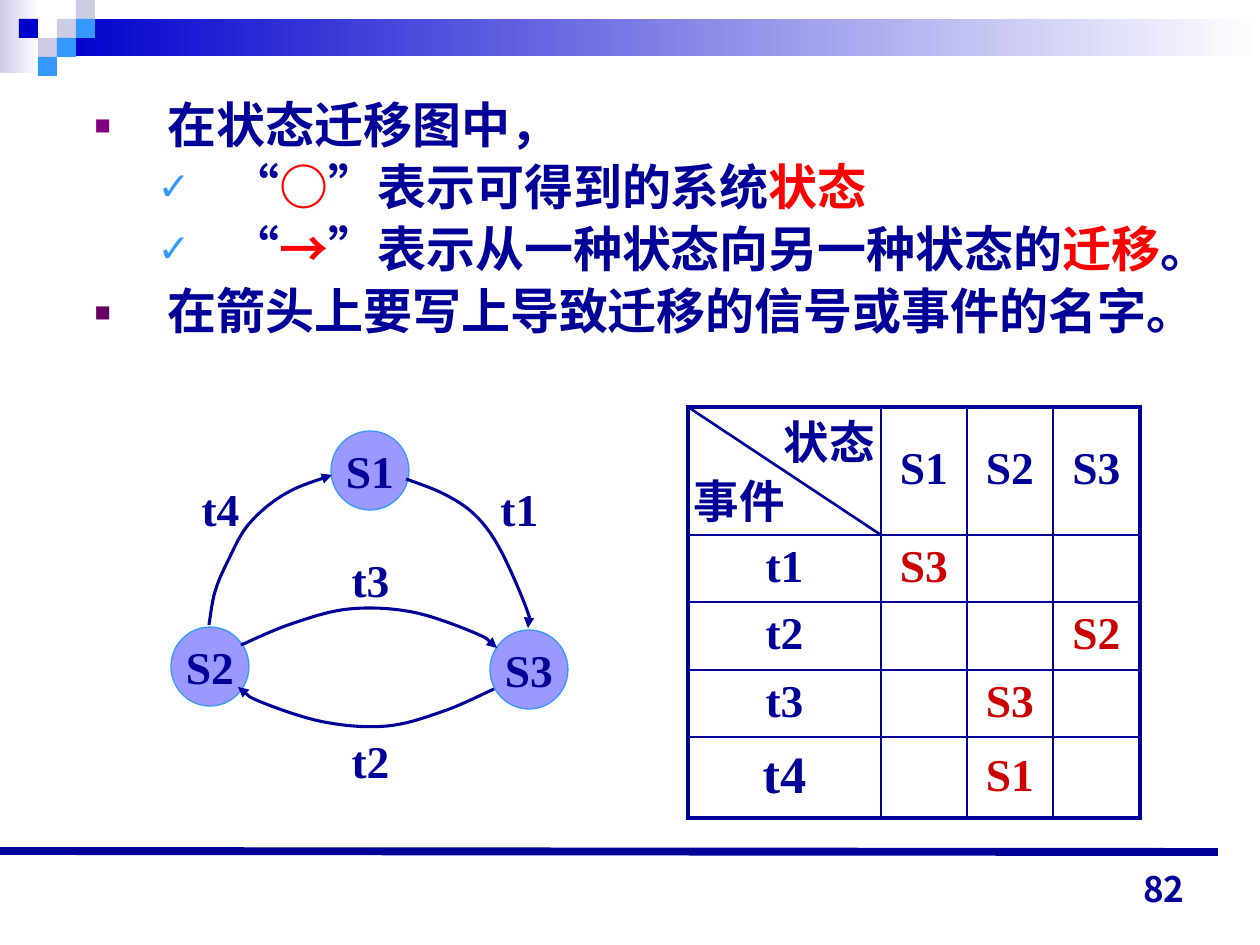
from lxml import etree
from pptx import Presentation
from pptx.dml.color import RGBColor
from pptx.enum.shapes import MSO_CONNECTOR, MSO_SHAPE
from pptx.enum.text import MSO_ANCHOR, MSO_AUTO_SIZE, PP_ALIGN
from pptx.oxml.ns import qn
from pptx.util import Pt

LEFT, CENTER, RIGHT = PP_ALIGN.LEFT, PP_ALIGN.CENTER, PP_ALIGN.RIGHT
TOP, MIDDLE, BOTTOM = MSO_ANCHOR.TOP, MSO_ANCHOR.MIDDLE, MSO_ANCHOR.BOTTOM
NO_AUTOFIT = MSO_AUTO_SIZE.NONE
RECTANGLE, OVAL = MSO_SHAPE.RECTANGLE, MSO_SHAPE.OVAL
STRAIGHT = MSO_CONNECTOR.STRAIGHT

EMU_PER_PX = 914400 / 126
SERIF, SANS, CJK = "Times New Roman", "Arial", "Noto Sans CJK JP"
COLORS = {
    "navy": "000099", "blue": "0000CC", "sky": "3399FF", "mist": "CCCCE6",
    "white": "FFFFFF", "state": "9999FF", "red": "FF0000", "result": "CC0000",
    "purple": "800080", "plum": "660066",
}
SQUARE = 19
SQUARES = [(3, 1, "mist"), (4, 0, "mist"), (4, 1, "sky"), (2, 2, "mist"),
           (1, 1, "blue"), (3, 2, "sky"), (2, 3, "sky")]
MAIN_POINT = {"level": 0, "indent": 73, "size": 55, "mark": "■"}
SUB_POINT = {"level": 1, "indent": 136, "size": 80, "mark": "✓", "color": "sky"}
POINTS = [
    (MAIN_POINT | {"color": "purple"}, 0, SANS, [("在状态迁移图中，", "navy")]),
    (SUB_POINT, 3.5, SERIF, [("“", "navy"), ("○", "red"),
                             ("”表示可得到的系统", "navy"), ("状态", "red")]),
    (SUB_POINT, 3.5, SERIF, [("“", "navy"), ("→", "red"),
                             ("”表示从一种状态向另一种状态的", "navy"),
                             ("迁移", "red"), ("。", "navy")]),
    (MAIN_POINT | {"color": "plum"}, 4, SANS,
     [("在箭头上要写上导致迁移的信号或事件的名字。", "navy")]),
]
STATES = [("S2", 171, 627), ("S1", 331, 431), ("S3", 490, 630)]
TRANSITIONS = [
    ("t4", (189, 475), [(209, 625), (215, 592), (228, 561), (249, 524), (285, 494), (332, 475)]),
    ("t1", (488, 475), [(406, 479), (444, 494), (475, 515), (500, 549), (527, 610), (528, 628)]),
    ("t3", (339, 546), [(241, 645), (291, 624), (349, 609), (412, 612), (475, 633), (497, 648)]),
    ("t2", (339, 727), [(494, 689), (444, 711), (387, 726), (324, 722), (261, 702), (238, 687)]),
]
TABLE_ROWS = [
    ["状态\n事件", "S1", "S2", "S3"],
    ["t1", "S3", "", ""],
    ["t2", "", "", "S2"],
    ["t3", "", "S3", ""],
    ["t4", "", "S1", ""],
]
COLUMN_WIDTHS = [193, 86, 86, 87]
ROW_HEIGHTS = [128, 67, 68, 67, 81]
TABLE_LEFT, TABLE_TOP = 688, 407


def px(*lengths):
    """Turn px lengths into a list of EMU."""
    return [round(length * EMU_PER_PX) for length in lengths]


def rgb(name):
    """Look up a named colour."""
    return RGBColor.from_string(COLORS[name])


def apply(target, values):
    """Set attributes from a dict of format values."""
    for name, value in values.items():
        setattr(target, name, value)


def add_run(paragraph, text, size, color="navy", font=SERIF):
    """Add a bold run with Latin and East Asian fonts."""
    run = paragraph.add_run()
    run.text = text
    apply(run.font, {"size": Pt(size), "bold": True, "name": font})
    run.font.color.rgb = rgb(color)
    etree.SubElement(run.font._element, qn("a:ea"), typeface=CJK)


def add_shape(slide, kind, box, fill, line=None):
    """Add a preset shape with a plain fill or a left-to-right gradient."""
    shape = slide.shapes.add_shape(kind, *px(*box))
    shape.shadow.inherit = False
    if isinstance(fill, tuple):
        shape.fill.gradient()
        shape.fill.gradient_angle = 0
        for stop, color in zip(shape.fill.gradient_stops, fill):
            stop.color.rgb = rgb(color)
    else:
        shape.fill.solid()
        shape.fill.fore_color.rgb = rgb(fill)
    if line:
        shape.line.color.rgb = rgb(line)
        shape.line.width = Pt(0.75)
    else:
        shape.line.fill.background()
    return shape


def add_line(slide, start, end, width):
    """Add a straight navy line."""
    line = slide.shapes.add_connector(STRAIGHT, *px(*start, *end))
    line.line.color.rgb = rgb("navy")
    line.line.width = Pt(width)
    etree.SubElement(line.element.spPr, qn("a:effectLst"))


def add_label(slide, text, box, size, font=SERIF, align=CENTER, anchor=TOP):
    """Add a one-line text box."""
    frame = slide.shapes.add_textbox(*px(*box)).text_frame
    apply(frame, {"word_wrap": False, "vertical_anchor": anchor})
    frame.paragraphs[0].alignment = align
    add_run(frame.paragraphs[0], text, size, font=font)


def add_state(slide, name, left, top):
    """Add a state circle with its name."""
    frame = add_shape(slide, OVAL, (left, top, 78, 79), "state", "sky").text_frame
    apply(frame, {"word_wrap": False, "vertical_anchor": MIDDLE, "margin_left": 0,
                  "margin_right": 0, "margin_top": 0, "margin_bottom": 0})
    frame.paragraphs[0].alignment = CENTER
    add_run(frame.paragraphs[0], name, 26)


def add_curved_arrow(slide, knots):
    """Add a smooth arrow through the knots, as Bézier segments."""
    padded = [knots[0], *knots, knots[-1]]
    points = []
    for before, start, end, after in zip(padded, padded[1:], padded[2:], padded[3:]):
        points.append(px(*(s + (e - b) / 6 for b, s, e in zip(before, start, end))))
        points.append(px(*(e - (a - s) / 6 for s, e, a in zip(start, end, after))))
        points.append(px(*end))
    builder = slide.shapes.build_freeform(*px(*knots[0]))
    builder.add_line_segments(points, close=False)
    shape = builder.convert_to_shape()
    outline = next(shape.element.iter(qn("a:path")))
    segments = outline.findall(qn("a:lnTo"))
    for index in range(0, len(segments), 3):
        curve = etree.SubElement(outline, qn("a:cubicBezTo"))
        for segment in segments[index:index + 3]:
            curve.append(segment[0])
            outline.remove(segment)
    shape.shadow.inherit = False
    shape.fill.background()
    shape.line.color.rgb = rgb("navy")
    shape.line.width = Pt(1.75)
    etree.SubElement(shape.line._get_or_add_ln(), qn("a:tailEnd"), type="triangle")


def add_points(slide):
    """Fill the body placeholder with the bulleted points."""
    body = slide.placeholders[1]
    apply(body, dict(zip(("left", "top", "width", "height"), px(82, 92, 1101, 324))))
    frame = body.text_frame
    apply(frame, {"auto_size": NO_AUTOFIT, "vertical_anchor": TOP, "word_wrap": True})
    for index, (style, space, font, runs) in enumerate(POINTS):
        paragraph = frame.add_paragraph() if index else frame.paragraphs[0]
        apply(paragraph, {"level": style["level"], "line_spacing": 0.95,
                          "space_before": Pt(space)})
        properties = paragraph._p.get_or_add_pPr()
        margin, hanging = px(style["indent"], -73)
        properties.set("marL", str(margin))
        properties.set("indent", str(hanging))
        bullet_color = etree.SubElement(properties, qn("a:buClr"))
        etree.SubElement(bullet_color, qn("a:srgbClr"), val=COLORS[style["color"]])
        etree.SubElement(properties, qn("a:buSzPct"), val=str(style["size"] * 1000))
        etree.SubElement(properties, qn("a:buChar"), char=style["mark"])
        for text, color in runs:
            add_run(paragraph, text, 28, color, font)


def set_borders(cell, row, column):
    """Draw thick borders on the table's rim and thin ones inside."""
    rims = {"a:lnL": column == 0, "a:lnR": column == len(COLUMN_WIDTHS) - 1,
            "a:lnT": row == 0, "a:lnB": row == len(ROW_HEIGHTS) - 1}
    properties = cell._tc.get_or_add_tcPr()
    for tag, on_rim in rims.items():
        border = etree.SubElement(properties, qn(tag), w=str(Pt(2.25 if on_rim else 1)))
        fill = etree.SubElement(border, qn("a:solidFill"))
        etree.SubElement(fill, qn("a:srgbClr"), val=COLORS["navy"])


def add_transition_table(slide):
    """Add the table of next states by event and state."""
    table = slide.shapes.add_table(
        len(ROW_HEIGHTS), len(COLUMN_WIDTHS),
        *px(TABLE_LEFT, TABLE_TOP, sum(COLUMN_WIDTHS), sum(ROW_HEIGHTS))).table
    apply(table, {"first_row": False, "horz_banding": False})
    for column, width in zip(table.columns, px(*COLUMN_WIDTHS)):
        column.width = width
    for row, height in zip(table.rows, px(*ROW_HEIGHTS)):
        row.height = height
    margin = px(6)[0]
    for row, texts in enumerate(TABLE_ROWS):
        for column, text in enumerate(texts):
            cell = table.cell(row, column)
            apply(cell, {"vertical_anchor": MIDDLE, "margin_left": margin,
                         "margin_right": margin, "margin_top": 0, "margin_bottom": 0})
            set_borders(cell, row, column)
            cell.fill.background()
            lines = text.split("\n") if text else []
            size = 30 if text == "t4" else 26
            for index, line in enumerate(lines):
                paragraph = cell.text_frame.add_paragraph() if index else cell.text_frame.paragraphs[0]
                align = (RIGHT, LEFT)[index] if len(lines) > 1 else CENTER
                apply(paragraph, {"alignment": align, "line_spacing": 0.9})
                add_run(paragraph, line, size, "result" if row and column else "navy")
    add_line(slide, (TABLE_LEFT, TABLE_TOP),
             (TABLE_LEFT + COLUMN_WIDTHS[0], TABLE_TOP + ROW_HEIGHTS[0]), 1.5)


def add_decoration(slide):
    """Add the header band, its squares, the footer line and the page number."""
    add_shape(slide, RECTANGLE, (0, 0, 39, 73), ("mist", "white"))
    add_shape(slide, RECTANGLE, (57, 19, 1203, 37), ("blue", "white"))
    for column, row, color in SQUARES:
        add_shape(slide, RECTANGLE, (column * SQUARE, row * SQUARE, SQUARE, SQUARE), color)
    add_line(slide, (0, 851), (1218, 852), 4.5)
    add_label(slide, "82", (903, 853, 294, 63), 20, CJK, RIGHT, BOTTOM)


def main():
    """Build the state transition slide."""
    presentation = Presentation()
    apply(presentation, dict(zip(("slide_width", "slide_height"), px(1260, 945))))
    slide = presentation.slides.add_slide(presentation.slide_layouts[1])
    title = slide.shapes.title.element
    title.getparent().remove(title)
    add_decoration(slide)
    add_points(slide)
    for name, left, top in STATES:
        add_state(slide, name, left, top)
    for name, (left, top), knots in TRANSITIONS:
        add_curved_arrow(slide, knots)
        add_label(slide, name, (left, top, 63, 68), 26)
    add_transition_table(slide)
    presentation.save("out.pptx")


if __name__ == "__main__":
    main()
